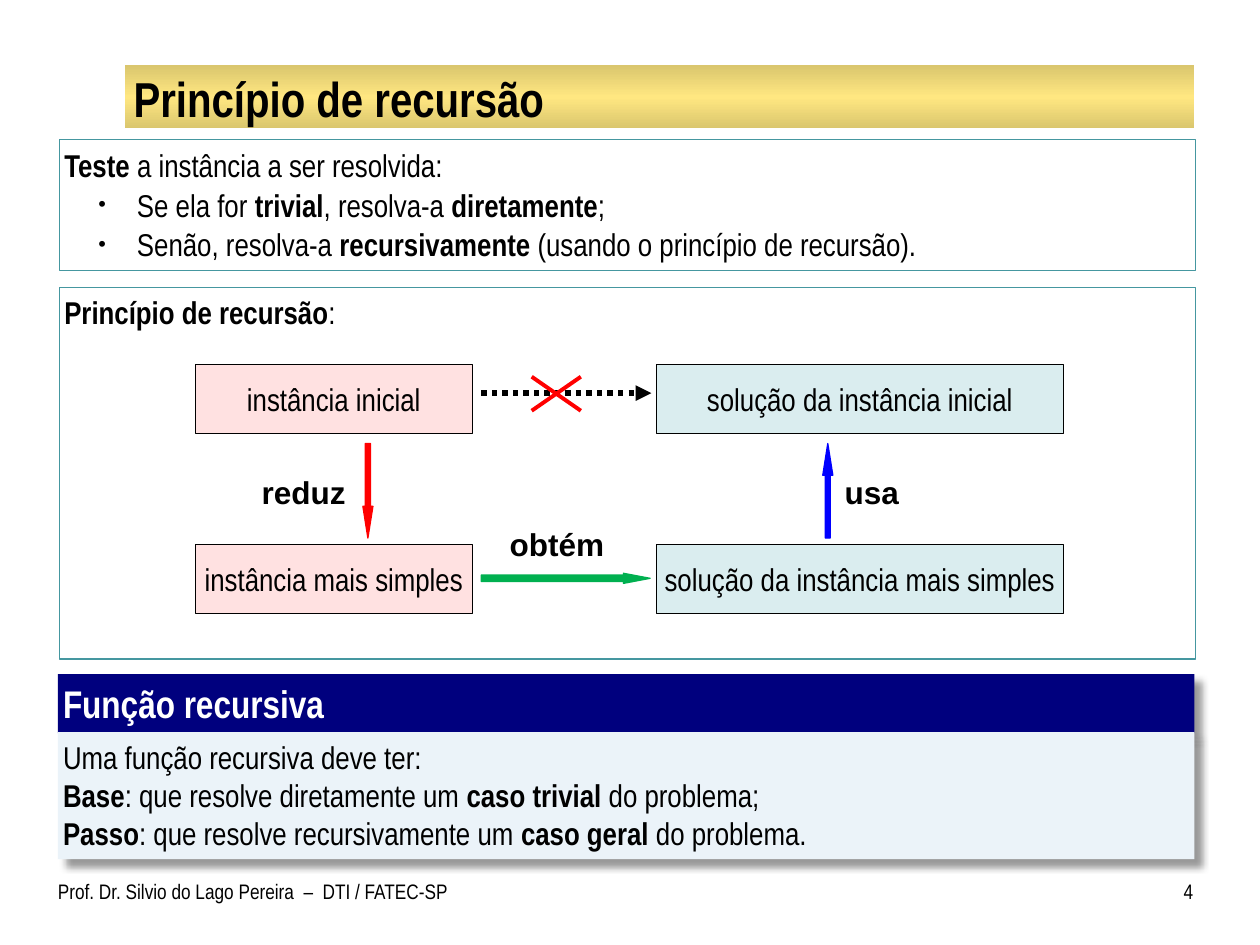
from lxml import etree
from pptx import Presentation
from pptx.dml.color import RGBColor
from pptx.enum.dml import MSO_LINE
from pptx.enum.shapes import MSO_CONNECTOR, MSO_SHAPE
from pptx.enum.text import MSO_ANCHOR, MSO_AUTO_SIZE, PP_ALIGN
from pptx.oxml import parse_xml
from pptx.oxml.ns import nsdecls, qn
from pptx.util import Inches, Pt

RECTANGLE, DOWN, UP, RIGHT_ARROW = (
    MSO_SHAPE.RECTANGLE, MSO_SHAPE.DOWN_ARROW, MSO_SHAPE.UP_ARROW, MSO_SHAPE.RIGHT_ARROW)
LEFT, CENTER, RIGHT, JUSTIFY = PP_ALIGN.LEFT, PP_ALIGN.CENTER, PP_ALIGN.RIGHT, PP_ALIGN.JUSTIFY
TOP, MIDDLE = MSO_ANCHOR.TOP, MSO_ANCHOR.MIDDLE
STRAIGHT, DOTTED = MSO_CONNECTOR.STRAIGHT, MSO_LINE.ROUND_DOT

BLACK = RGBColor(0x00, 0x00, 0x00)
WHITE = RGBColor(0xFF, 0xFF, 0xFF)
NAVY = RGBColor(0x00, 0x00, 0x7E)
PALE_BLUE = RGBColor(0xEB, 0xF3, 0xF9)
TEAL = RGBColor(0x45, 0x97, 0xA0)
PINK = RGBColor(0xFF, 0xE1, 0xE1)
AQUA = RGBColor(0xDA, 0xED, 0xEF)
RED = RGBColor(0xFF, 0x00, 0x00)
BLUE = RGBColor(0x00, 0x00, 0xFF)
GREEN = RGBColor(0x00, 0xB0, 0x50)
DARK_GOLD = RGBColor(0xDA, 0xC6, 0x6E)
GOLD = RGBColor(0xFF, 0xE7, 0x81)

NARROW, WIDE = "Arial Narrow", "Arial"
PANEL_INSETS = (0.04, 0.05, 0.04, 0.05)

TITLE = "Princípio de recursão"
TEST_LEAD = "**Teste** a instância a ser resolvida:"
TEST_CASES = [
    " Se ela for **trivial**, resolva-a **diretamente**;",
    " Senão, resolva-a **recursivamente** (usando o princípio de recursão).",
]
PRINCIPLE = "**Princípio de recursão**:"
FUNCTION_HEAD = "**Função recursiva**"
FUNCTION_LINES = [
    "Uma função recursiva deve ter:",
    "**Base**: que resolve diretamente um **caso trivial** do problema;",
    "**Passo**: que resolve recursivamente um **caso geral** do problema.",
]
FOOTER = "Prof. Dr. Silvio do Lago Pereira  –  DTI / FATEC-SP"
PAGE_NUMBER = "4"

COLUMNS = [(1.55, 2.2, PINK), (5.21, 3.23, AQUA)]
ROWS = [2.89, 4.32]
STATES = [
    ["instância inicial", "solução da instância inicial"],
    ["instância mais simples", "solução da instância mais simples"],
]
ARROWS = [
    (DOWN, (2.88, 3.52, 0.08, 0.75), (0.5, 3.15), RED),
    (UP, (6.53, 3.52, 0.08, 0.75), (0.5, 3.15), BLUE),
    (RIGHT_ARROW, (3.82, 4.55, 1.34, 0.08), (0.65, 2.65), GREEN),
]
ARROW_LABELS = [
    ("**reduz**", (1.86, 3.71, 1.1, 0.38)),
    ("**usa**", (6.37, 3.71, 1.1, 0.38)),
    ("**obtém**", (3.87, 4.08, 1.1, 0.47)),
]
CROSS = (4.22, 2.99, 4.61, 3.26)


def write_text(shape, lines, font=NARROW, size=18, color=BLACK, align=LEFT,
               anchor=TOP, insets=(0.1, 0.05, 0.1, 0.05), wrap=True):
    frame = shape.text_frame
    frame.word_wrap = wrap
    frame.auto_size = MSO_AUTO_SIZE.NONE
    frame.vertical_anchor = anchor
    frame.margin_left, frame.margin_top, frame.margin_right, frame.margin_bottom = map(Inches, insets)
    for index, line in enumerate(lines):
        para = frame.paragraphs[0] if index == 0 else frame.add_paragraph()
        para.alignment = align
        for part, words in enumerate(line.split("**")):
            if words:
                span = para.add_run()
                span.text = words
                span.font.name, span.font.size = font, Pt(size)
                span.font.bold = part % 2 == 1
                span.font.color.rgb = color
    return frame


def add_block(page, place, fill=None, line=None, kind=RECTANGLE):
    block = page.shapes.add_shape(kind, *map(Inches, place))
    block.shadow.inherit = False
    if fill is None:
        block.fill.background()
    else:
        block.fill.solid()
        block.fill.fore_color.rgb = fill
    if line is None:
        block.line.fill.background()
    else:
        block.line.color.rgb = line
        block.line.width = Pt(0.75)
    return block


def add_label(page, place, text, **style):
    write_text(page.shapes.add_textbox(*map(Inches, place)), [text], **style)


def add_line(page, ends, color, width):
    connector = page.shapes.add_connector(STRAIGHT, *map(Inches, ends))
    connector.line.color.rgb = color
    connector.line.width = Pt(width)
    etree.SubElement(connector._element.spPr, qn("a:effectLst"))
    return connector


def fill_gold(block):
    stops = "".join(f'<a:gs pos="{share * 1000}"><a:srgbClr val="{color}"/></a:gs>'
                    for share, color in [(0, DARK_GOLD), (50, GOLD), (100, DARK_GOLD)])
    block.fill.gradient()
    gradient = block._element.spPr.find(qn("a:gradFill"))
    gradient.getparent().replace(gradient, parse_xml(
        f'<a:gradFill {nsdecls("a")} rotWithShape="1"><a:gsLst>{stops}</a:gsLst>'
        '<a:lin ang="5400000" scaled="0"/></a:gradFill>'))


def cast_shadow(block):
    effects = block._element.spPr.find(qn("a:effectLst"))
    effects.append(parse_xml(
        f'<a:outerShdw {nsdecls("a")} blurRad="{Pt(4)}" dist="{Pt(6)}" dir="2700000" '
        'algn="tl" rotWithShape="0"><a:srgbClr val="000000"><a:alpha val="40000"/>'
        '</a:srgbClr></a:outerShdw>'))


def add_bullet(para):
    para.space_before = Pt(1)
    para.alignment = JUSTIFY
    properties = para._p.get_or_add_pPr()
    properties.set("marL", str(Inches(0.52)))
    properties.set("indent", str(Inches(-0.25)))
    etree.SubElement(properties, qn("a:buSzPct"), val="69000")
    etree.SubElement(properties, qn("a:buFont"), typeface=WIDE)
    etree.SubElement(properties, qn("a:buChar"), char="•")


def add_title(page):
    fill_gold(add_block(page, (0.99, 0.52, 8.49, 0.5)))
    title = page.shapes.title
    title.left, title.top, title.width, title.height = map(Inches, (1, 0.54, 8.47, 0.47))
    write_text(title, [f"**{TITLE}**"], size=28, anchor=MIDDLE, insets=(0.06, 0.01, 0.06, 0.01))
    page.shapes._spTree.append(title._element)


def add_panels(page):
    head = add_block(page, (0.46, 5.35, 9.02, 0.47), fill=NAVY)
    body = add_block(page, (0.46, 5.81, 9.02, 1.01), fill=PALE_BLUE)
    cast_shadow(head)
    cast_shadow(body)
    write_text(head, [FUNCTION_HEAD], size=22, color=WHITE, insets=PANEL_INSETS)
    write_text(body, FUNCTION_LINES, align=JUSTIFY, insets=PANEL_INSETS)

    test = add_block(page, (0.47, 1.11, 9.02, 1.04), line=TEAL)
    frame = write_text(test, [TEST_LEAD, *TEST_CASES], insets=PANEL_INSETS)
    for para in frame.paragraphs[1:]:
        add_bullet(para)

    principle = add_block(page, (0.47, 2.28, 9.02, 2.95), line=TEAL)
    write_text(principle, [PRINCIPLE], insets=PANEL_INSETS)


def add_diagram(page):
    for top, names in zip(ROWS, STATES):
        for (left, width, fill), name in zip(COLUMNS, names):
            box = add_block(page, (left, top, width, 0.55), fill=fill, line=BLACK)
            write_text(box, [name], align=CENTER, anchor=MIDDLE, wrap=False)
    for kind, place, adjustments, color in ARROWS:
        arrow = add_block(page, place, fill=color, line=color, kind=kind)
        for index, value in enumerate(adjustments):
            arrow.adjustments[index] = value
    for text, place in ARROW_LABELS:
        add_label(page, place, text, font=WIDE, align=CENTER, anchor=MIDDLE, wrap=False)

    direct = add_line(page, (3.82, 3.12, 5.17, 3.12), BLACK, 3)
    direct.line.dash_style = DOTTED
    etree.SubElement(direct.line._get_or_add_ln(), qn("a:tailEnd"), type="triangle")
    left, top, right, bottom = CROSS
    add_line(page, (right, top, left, bottom), RED, 2.25)
    add_line(page, (left, top, right, bottom), RED, 2.25)


def main():
    deck = Presentation()
    deck.slide_width, deck.slide_height = Inches(10), Inches(7.5)
    page = deck.slides.add_slide(deck.slide_layouts[5])
    add_title(page)
    add_panels(page)
    add_diagram(page)
    add_label(page, (0.46, 6.92, 3.27, 0.42), FOOTER, size=12, insets=(0, 0.05, 0.1, 0.05))
    add_label(page, (9.08, 6.92, 0.39, 0.42), PAGE_NUMBER, size=12, align=RIGHT,
              insets=(0.1, 0.05, 0, 0.05))
    deck.save("out.pptx")


if __name__ == "__main__":
    main()
